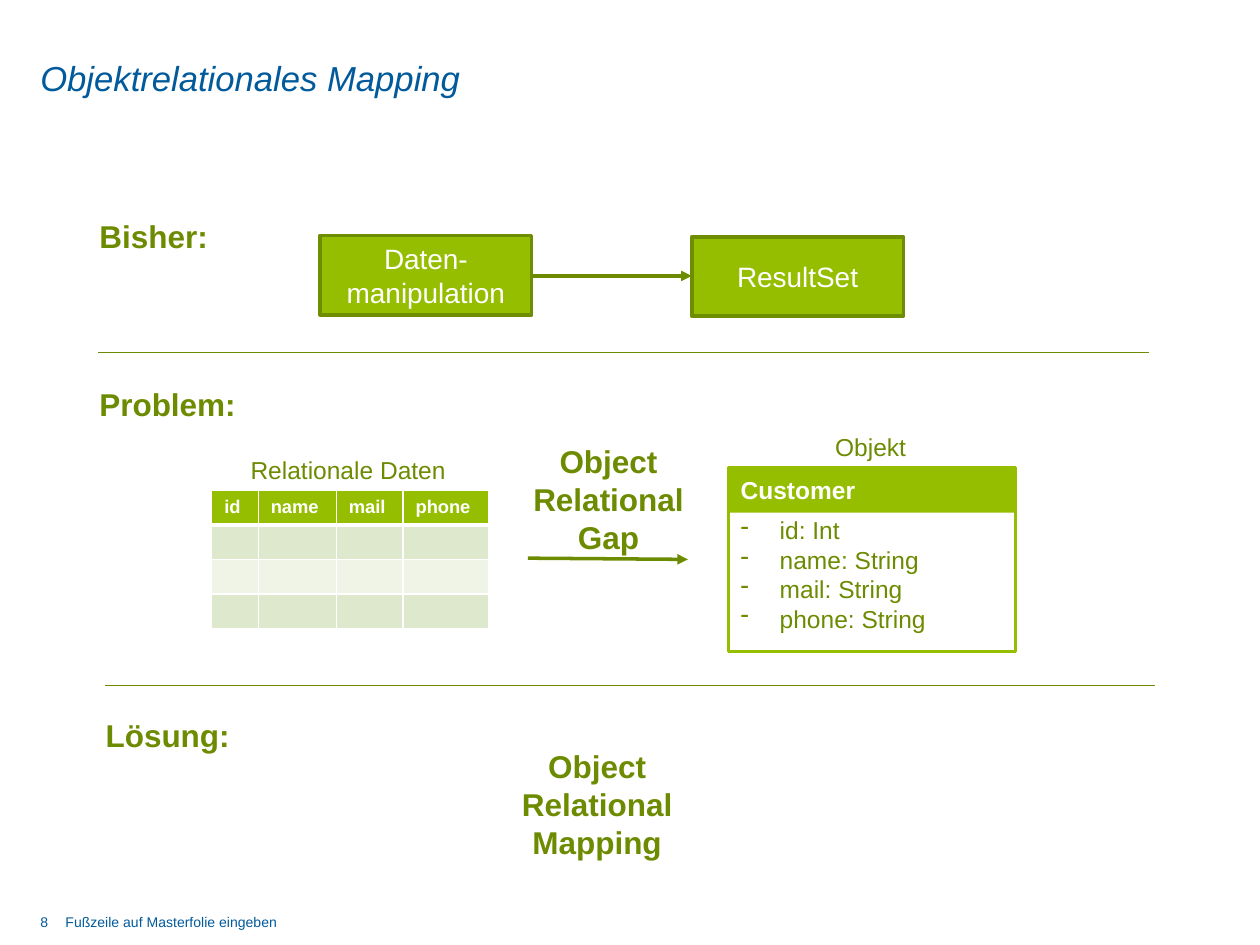
from lxml.etree import SubElement
from pptx import Presentation
from pptx.dml.color import RGBColor
from pptx.enum.shapes import MSO_CONNECTOR, MSO_SHAPE
from pptx.enum.text import MSO_ANCHOR, PP_ALIGN
from pptx.oxml.ns import qn
from pptx.util import Inches, Pt

COLORS = {"blue": "005A9B", "olive": "6D8B00", "border": "6F8D00", "green": "96BE00",
          "band": "DDE8CC", "pale": "EFF4E7", "white": "FFFFFF"}
FONT = "Arial"

# text, left, top, width, height
HEADINGS = [("Bisher:", 0.69, 1.67, 1.07, 0.4),
            ("Problem:", 0.69, 3.01, 1.3, 0.4),
            ("Lösung:", 0.74, 5.63, 1.2, 0.4)]
CENTER_TEXTS = [("Object Relational Gap", 4.1, 3.46, 1.46, 1.01),
                ("Object Relational Mapping", 4.01, 5.88, 1.46, 1.01)]
CAPTIONS = [("Relationale Daten", 1.89, 3.56, 1.76, 0.34),
            ("Objekt", 6.53, 3.38, 0.77, 0.34)]
FOOTER = [("8", 0.32, 7.25, 0.21, 0.23),
          ("Fußzeile auf Masterfolie eingeben", 0.52, 7.25, 3.64, 0.27)]
STEPS = [("Daten-manipulation", 2.54, 1.87), ("ResultSet", 5.49, 1.88)]
# start x, start y, end x, end y
SEPARATORS = [(0.78, 2.8, 9.12, 2.8), (0.83, 5.44, 9.17, 5.44)]
ARROWS = [(4.22, 2.19, 5.49, 2.19), (4.19, 4.43, 5.46, 4.44)]
TABLE_COLUMNS = [("id", 0.37), ("name", 0.62), ("mail", 0.53), ("phone", 0.68)]
ROW_FILLS = ["green", "band", "pale", "band"]
TABLE_HEIGHT = 1.1
CLASS_NAME = "Customer"
ATTRIBUTES = ["id: Int", "name: String", "mail: String", "phone: String"]


def color(name):
    return RGBColor.from_string(COLORS[name])


def style_font(font, size, color_name, bold=False, italic=False):
    font.name, font.size, font.bold, font.italic = FONT, Pt(size), bold, italic
    font.color.rgb = color(color_name)


def style(paragraph, size, color_name, align=PP_ALIGN.LEFT, **options):
    paragraph.alignment = align
    style_font(paragraph.font, size, color_name, **options)


def add_text(slide, text, left, top, width, height, size, color_name,
             wrap=False, inset=True, anchor=MSO_ANCHOR.TOP, **options):
    box = slide.shapes.add_textbox(Inches(left), Inches(top), Inches(width), Inches(height))
    frame = box.text_frame
    frame.word_wrap = wrap
    frame.vertical_anchor = anchor
    if not inset:
        frame.margin_left = frame.margin_right = frame.margin_top = frame.margin_bottom = 0
    frame.text = text
    style(frame.paragraphs[0], size, color_name, **options)


def add_box(slide, left, top, width, height, fill, line=None):
    shape = slide.shapes.add_shape(MSO_SHAPE.RECTANGLE, Inches(left), Inches(top),
                                   Inches(width), Inches(height))
    shape.shadow.inherit = False
    shape.fill.solid()
    shape.fill.fore_color.rgb = color(fill)
    if line:
        shape.line.color.rgb = color(line)
        shape.line.width = Pt(2)
    else:
        shape.line.fill.background()
    shape.text_frame.word_wrap = True
    shape.text_frame.vertical_anchor = MSO_ANCHOR.MIDDLE
    return shape


def add_line(slide, points, width, arrow=False):
    line = slide.shapes.add_connector(MSO_CONNECTOR.STRAIGHT, *map(Inches, points))
    line.line.color.rgb = color("olive")
    line.line.width = Pt(width)
    properties = line._element.spPr
    if arrow:
        SubElement(properties.find(qn("a:ln")), qn("a:tailEnd"), type="triangle")
    SubElement(properties, qn("a:effectLst"))


def set_borders(cell, bottom_width):
    properties = cell._tc.get_or_add_tcPr()
    for side, width in (("L", 1), ("R", 1), ("T", 1), ("B", bottom_width)):
        border = SubElement(properties, qn(f"a:ln{side}"), w=str(Pt(width)))
        fill = SubElement(border, qn("a:solidFill"))
        SubElement(fill, qn("a:srgbClr"), val=COLORS["white"])


def add_customer_table(slide):
    table = slide.shapes.add_table(
        len(ROW_FILLS), len(TABLE_COLUMNS), Inches(1.68), Inches(3.89),
        Inches(sum(width for _, width in TABLE_COLUMNS)), Inches(TABLE_HEIGHT)).table
    for column, (_, width) in zip(table.columns, TABLE_COLUMNS):
        column.width = Inches(width)
    for row_index, fill in enumerate(ROW_FILLS):
        for column_index, (name, _) in enumerate(TABLE_COLUMNS):
            cell = table.cell(row_index, column_index)
            set_borders(cell, 3 if row_index == 0 else 1)
            cell.fill.solid()
            cell.fill.fore_color.rgb = color(fill)
            paragraph = cell.text_frame.paragraphs[0]
            if row_index == 0:
                run = paragraph.add_run()
                run.text = name
                style_font(run.font, 10.5, "white", bold=True)
            else:
                SubElement(paragraph._p, qn("a:endParaRPr"), sz="1050")


def add_class_diagram(slide):
    left, top, width = 5.78, 3.71, 2.28
    body = add_box(slide, left, top, width, 1.46, "white", "green")
    frame = body.text_frame
    frame.vertical_anchor = MSO_ANCHOR.TOP
    frame.margin_top = Inches(0.38)
    frame.text = "\n".join(ATTRIBUTES)
    indent = Inches(0.31)
    for paragraph in frame.paragraphs:
        properties = paragraph._p.get_or_add_pPr()
        properties.set("marL", str(indent))
        properties.set("indent", str(-indent))
        SubElement(properties, qn("a:buChar"), char="-")
        style(paragraph, 14, "olive")
    header = add_box(slide, left, top, width, 0.36, "green")
    header.text_frame.text = CLASS_NAME
    style(header.text_frame.paragraphs[0], 14, "white", bold=True)


def main():
    presentation = Presentation()
    presentation.slide_width, presentation.slide_height = Inches(10), Inches(7.5)
    slide = presentation.slides.add_slide(presentation.slide_layouts[6])

    add_text(slide, "Objektrelationales Mapping", 0.32, 0.44, 8, 0.36, 19.8, "blue",
             wrap=True, inset=False, anchor=MSO_ANCHOR.MIDDLE, italic=True)
    for item in FOOTER:
        add_text(slide, *item, 8, "blue", wrap=True, inset=False)
    for points in SEPARATORS:
        add_line(slide, points, 0.75)
    for item in HEADINGS:
        add_text(slide, *item, 18, "olive", bold=True)
    for text, left, top in STEPS:
        step = add_box(slide, left, top, 1.68, 0.63, "green", "border")
        step.text_frame.text = text
        style(step.text_frame.paragraphs[0], 16, "white", align=PP_ALIGN.CENTER)
    add_customer_table(slide)
    add_class_diagram(slide)
    for points in ARROWS:
        add_line(slide, points, 2, arrow=True)
    for item in CENTER_TEXTS:
        add_text(slide, *item, 18, "olive", wrap=True, bold=True, align=PP_ALIGN.CENTER)
    for item in CAPTIONS:
        add_text(slide, *item, 14, "olive")

    presentation.save("out.pptx")


if __name__ == "__main__":
    main()
